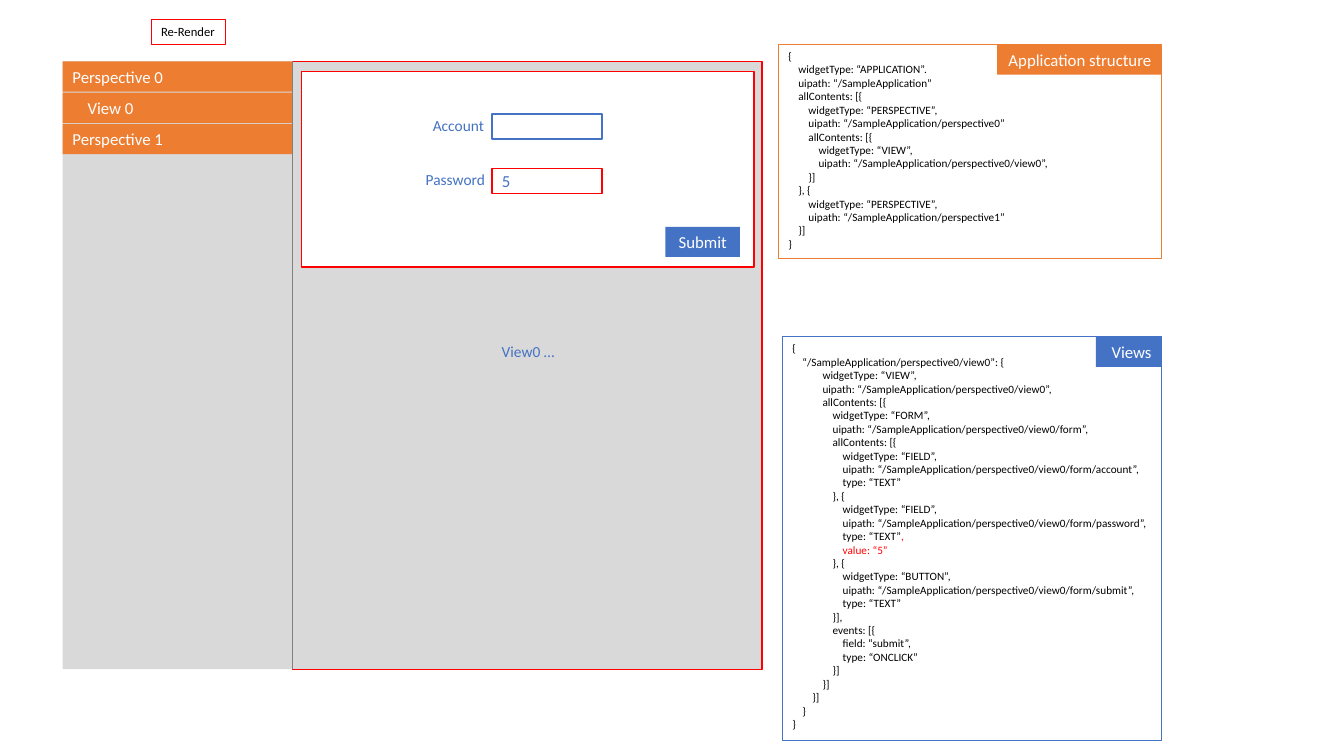
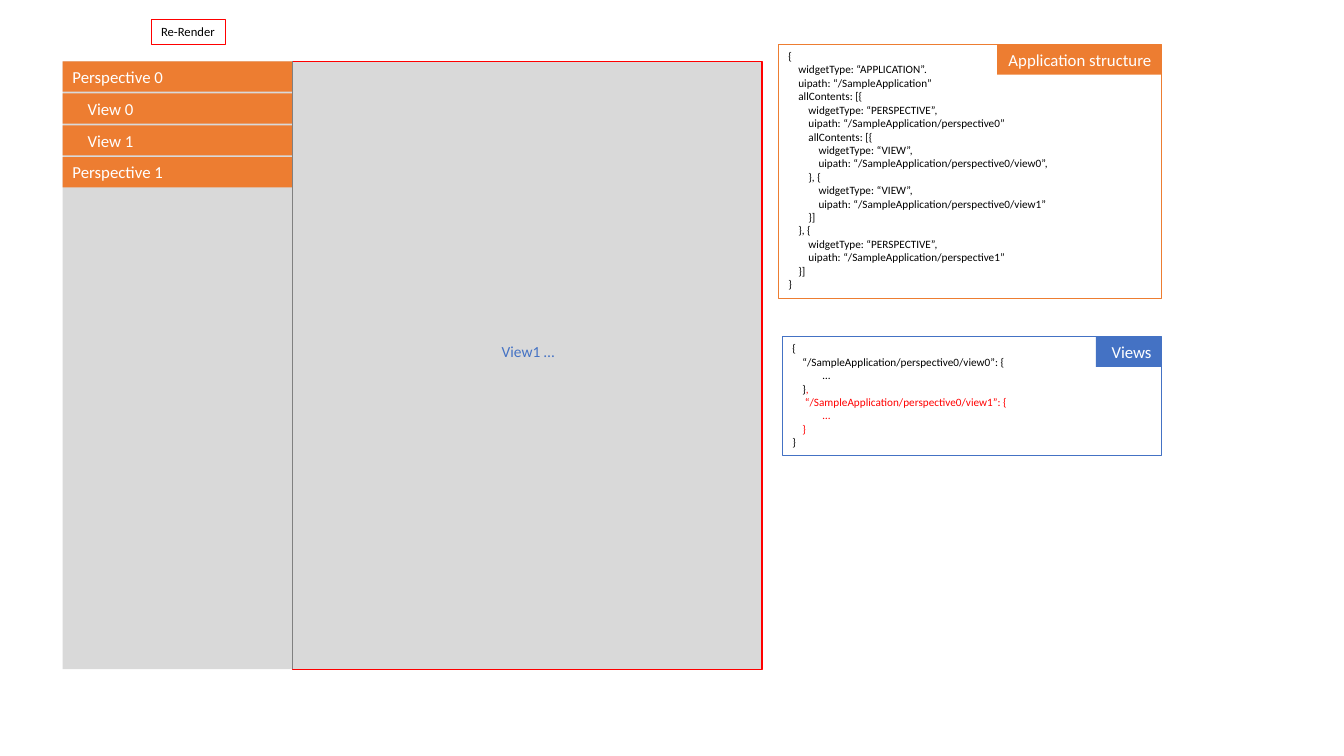
from dataclasses import dataclass

from lxml.etree import SubElement
from pptx import Presentation
from pptx.dml.color import RGBColor
from pptx.enum.shapes import MSO_CONNECTOR, MSO_SHAPE
from pptx.enum.text import MSO_ANCHOR, MSO_AUTO_SIZE, PP_ALIGN
from pptx.oxml.ns import qn
from pptx.shapes.autoshape import Shape
from pptx.slide import Slide
from pptx.text.text import TextFrame
from pptx.util import Inches, Pt

COLORS = {
    "orange": "ED7D31",
    "blue": "4472C4",
    "red": "FF0000",
    "panel": "D9D9D9",
    "divider": "808080",
    "white": "FFFFFF",
    "black": "000000",
}
FONT = "Calibri"
BAR_HEIGHT = 0.3
PANEL_TOP, PANEL_HEIGHT = 0.61, 6.03
MENU_LEFT, MENU_WIDTH = 0.62, 2.28
VIEW_LEFT = MENU_LEFT + MENU_WIDTH
CODE_RIGHT = 11.52
VIEWS_TOP = 3.34
CODE_SPACE = 0.1 / 4  # width of one leading space in a listing
SUBMENU_INDENT = 0.15

# In the listings, leading spaces set the indent and text after "|" is red.
STRUCTURE_START = """{
    widgetType: “APPLICATION”.
    uipath: “/SampleApplication”
    allContents: [{
        widgetType: “PERSPECTIVE”,
        uipath: “/SampleApplication/perspective0”
        allContents: [{
            widgetType: “VIEW”,
            uipath: “/SampleApplication/perspective0/view0”,
"""
STRUCTURE_VIEW1 = """        }, {
            widgetType: “VIEW”,
            uipath: “/SampleApplication/perspective0/view1”
"""
STRUCTURE_END = """        }]
    }, {
        widgetType: “PERSPECTIVE”,
        uipath: “/SampleApplication/perspective1”
    }]
}"""
FORM_START = """{
    “/SampleApplication/perspective0/view0”: {
            widgetType: “VIEW”,
            uipath: “/SampleApplication/perspective0/view0”,
            allContents: [{
                widgetType: “FORM”,
                uipath: “/SampleApplication/perspective0/view0/form”,
                allContents: [{
"""
FORM_FIELDS = """                    widgetType: “FIELD”,
                    uipath: “/SampleApplication/perspective0/view0/form/account”,
                    type: “TEXT”
                }, {
                    widgetType: “FIELD”,
                    uipath: “/SampleApplication/perspective0/view0/form/password”,
                    type: “TEXT”|,
                    |value: “5”
                }, {
"""
FORM_END = """                    widgetType: “BUTTON”,
                    uipath: “/SampleApplication/perspective0/view0/form/submit”,
                    type: “TEXT”
                }],
                events: [{
                    field: “submit”,
                    type: “ONCLICK”
                }]
            }]
        }]
    }
}"""
TWO_VIEWS = """{
    “/SampleApplication/perspective0/view0”: {
            …
    }|,
     |“/SampleApplication/perspective0/view1”: {
            |…
    |}
}"""


@dataclass(frozen=True)
class Box:
    left: float
    top: float
    width: float
    height: float
    fill: str | None = None
    line: str | None = None
    line_width: float = 1
    text: str = ""
    size: float = 12
    color: str = "white"
    align: PP_ALIGN = PP_ALIGN.LEFT
    indent: float = 0
    wrap: bool = True
    grow: bool = True


@dataclass(frozen=True)
class MenuItem:
    text: str
    indent: float = 0


@dataclass(frozen=True)
class Screen:
    menu: tuple[MenuItem, ...]
    last_item_top: float
    view_label: str
    structure: str
    structure_height: float
    views: str
    views_height: float
    has_form: bool = False


SCREENS = (
    Screen(
        (MenuItem("Perspective 0"), MenuItem("View 0", SUBMENU_INDENT),
         MenuItem("Perspective 1")),
        1.23, "View0 …", STRUCTURE_START + STRUCTURE_END, 2.12,
        FORM_START + FORM_FIELDS + FORM_END, 4.01, has_form=True,
    ),
    Screen(
        (MenuItem("Perspective 0"), MenuItem("View 0", SUBMENU_INDENT),
         MenuItem("View 1", SUBMENU_INDENT), MenuItem("Perspective 1")),
        1.56, "View1 …", STRUCTURE_START + STRUCTURE_VIEW1 + STRUCTURE_END, 2.52,
        TWO_VIEWS, 1.18,
    ),
)


def rgb(name: str) -> RGBColor:
    return RGBColor.from_string(COLORS[name])


def set_indent(paragraph, inches: float) -> None:
    properties = paragraph._p.get_or_add_pPr()
    properties.set("marL", str(Inches(inches)))
    properties.set("indent", "0")


def format_run(run, size: float, color: str) -> None:
    run.font.name = FONT
    run.font.size = Pt(size)
    run.font.color.rgb = rgb(color)


def add_box(slide: Slide, box: Box) -> Shape:
    """Draw a rectangle, or a text box if it has neither fill nor line."""
    place = [Inches(v) for v in (box.left, box.top, box.width, box.height)]
    if box.fill or box.line:
        shape = slide.shapes.add_shape(MSO_SHAPE.RECTANGLE, *place)
        shape.shadow.inherit = False
    else:
        shape = slide.shapes.add_textbox(*place)
    if box.fill:
        shape.fill.solid()
        shape.fill.fore_color.rgb = rgb(box.fill)
    else:
        shape.fill.background()
    if box.line:
        shape.line.color.rgb = rgb(box.line)
        shape.line.width = Pt(box.line_width)
    else:
        shape.line.fill.background()
    if box.text:
        text_frame = shape.text_frame
        text_frame.text = box.text
        text_frame.word_wrap = box.wrap
        text_frame.vertical_anchor = MSO_ANCHOR.TOP if box.grow else MSO_ANCHOR.MIDDLE
        text_frame.auto_size = (
            MSO_AUTO_SIZE.SHAPE_TO_FIT_TEXT if box.grow else MSO_AUTO_SIZE.NONE
        )
        paragraph = text_frame.paragraphs[0]
        paragraph.alignment = box.align
        if box.indent:
            set_indent(paragraph, box.indent)
        format_run(paragraph.runs[0], box.size, box.color)
    return shape


def write_listing(text_frame: TextFrame, listing: str) -> None:
    text_frame.word_wrap = True
    text_frame.vertical_anchor = MSO_ANCHOR.TOP
    for number, line in enumerate(listing.splitlines()):
        paragraph = text_frame.add_paragraph() if number else text_frame.paragraphs[0]
        paragraph.alignment = PP_ALIGN.LEFT
        code = line.lstrip()
        set_indent(paragraph, (len(line) - len(code)) * CODE_SPACE)
        plain, _, changed = code.partition("|")
        for text, color in ((plain, "black"), (changed, "red")):
            if text:
                run = paragraph.add_run()
                run.text = text
                format_run(run, 8, color)


def add_code_panel(slide: Slide, left: float, top: float, height: float, color: str,
                   listing: str, title: str, title_width: float) -> None:
    panel = add_box(slide, Box(left, top, CODE_RIGHT - left, height,
                               line=color, line_width=0.75))
    write_listing(panel.text_frame, listing)
    add_box(slide, Box(CODE_RIGHT - title_width, top, title_width, BAR_HEIGHT,
                       fill=color, text=title, align=PP_ALIGN.RIGHT, wrap=False))


def add_menu(slide: Slide, screen: Screen) -> None:
    add_box(slide, Box(MENU_LEFT, PANEL_TOP, MENU_WIDTH, PANEL_HEIGHT, fill="panel"))
    pitch = (screen.last_item_top - PANEL_TOP) / (len(screen.menu) - 1)
    for number, item in enumerate(screen.menu):
        add_box(slide, Box(MENU_LEFT, PANEL_TOP + number * pitch, MENU_WIDTH, BAR_HEIGHT,
                           fill="orange", text=item.text, indent=item.indent))


def add_label(slide: Slide, left: float, top: float, width: float, text: str) -> None:
    add_box(slide, Box(left, top, width, 0.29, text=text, size=11, color="blue",
                       align=PP_ALIGN.RIGHT, wrap=False))


def add_form(slide: Slide) -> None:
    add_box(slide, Box(2.99, 0.71, 4.49, 1.94, fill="white", line="red"))
    for label, left, width, top, line, value in (
        ("Account", 4.19, 0.71, 1.13, "blue", ""),
        ("Password", 4.11, 0.8, 1.67, "red", "5"),
    ):
        add_box(slide, Box(4.88, top, 1.09, 0.25, fill="white", line=line,
                           text=value, color="blue", grow=False))
        add_label(slide, left, top - 0.03, width, label)
    add_box(slide, Box(6.6, 2.25, 0.74, BAR_HEIGHT, fill="blue", text="Submit",
                       align=PP_ALIGN.CENTER, wrap=False))


def add_divider(slide: Slide) -> None:
    divider = slide.shapes.add_connector(
        MSO_CONNECTOR.STRAIGHT, Inches(VIEW_LEFT), Inches(PANEL_TOP),
        Inches(VIEW_LEFT), Inches(PANEL_TOP + PANEL_HEIGHT))
    divider.line.color.rgb = rgb("divider")
    divider.line.width = Pt(0.5)
    SubElement(divider._element.spPr, qn("a:effectLst"))


def add_screen(slide: Slide, screen: Screen) -> None:
    add_code_panel(slide, 7.72, 0.44, screen.structure_height, "orange",
                   screen.structure, "Application structure", 1.63)
    add_menu(slide, screen)
    add_code_panel(slide, 7.76, VIEWS_TOP, screen.views_height, "blue",
                   screen.views, "Views", 0.65)
    add_box(slide, Box(VIEW_LEFT, PANEL_TOP, 4.66, PANEL_HEIGHT, fill="panel", line="red"))
    if screen.has_form:
        add_form(slide)
    add_divider(slide)
    add_box(slide, Box(1.5, 0.19, 0.74, 0.25, line="red", line_width=0.75,
                       text="Re-Render", size=9, color="black", wrap=False))
    add_label(slide, 4.87, VIEWS_TOP, 0.73, screen.view_label)


def main() -> None:
    presentation = Presentation()
    presentation.slide_width = Inches(13.33)
    presentation.slide_height = Inches(7.5)
    blank_layout = presentation.slide_layouts[6]
    for screen in SCREENS:
        add_screen(presentation.slides.add_slide(blank_layout), screen)
    presentation.save("out.pptx")


if __name__ == "__main__":
    main()
